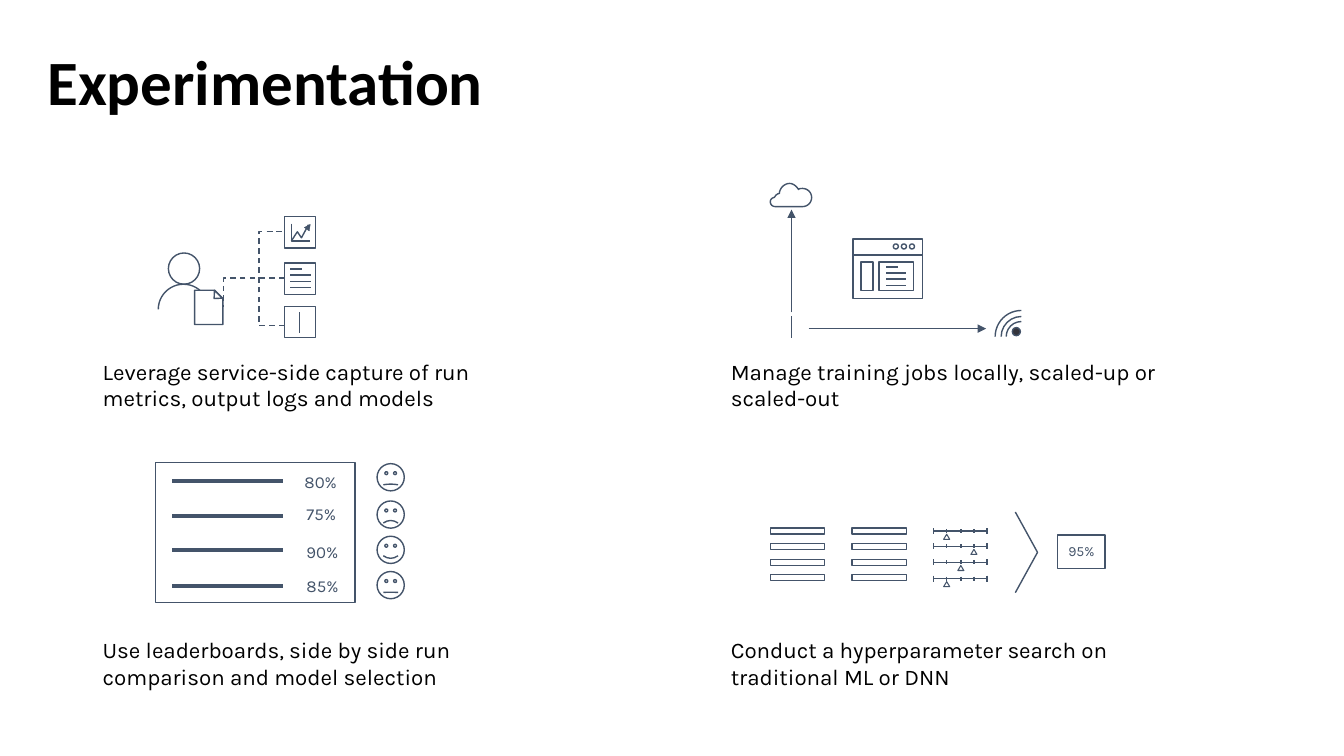
from dataclasses import dataclass

from lxml import etree
from pptx import Presentation
from pptx.dml.color import RGBColor
from pptx.enum.dml import MSO_LINE
from pptx.enum.shapes import MSO_CONNECTOR, MSO_SHAPE
from pptx.enum.text import MSO_ANCHOR, MSO_AUTO_SIZE, PP_ALIGN
from pptx.oxml.ns import qn
from pptx.util import Pt

PX = 9144
SLATE = RGBColor(0x44, 0x54, 0x6A)
CHARCOAL = RGBColor(0x34, 0x34, 0x3B)
BLACK = RGBColor(0, 0, 0)
WHITE = RGBColor(255, 255, 255)
RECTANGLE = MSO_SHAPE.RECTANGLE
OVAL = MSO_SHAPE.OVAL
TRIANGLE = MSO_SHAPE.ISOSCELES_TRIANGLE
ARC = MSO_SHAPE.ARC
SNIPPED = MSO_SHAPE.SNIP_1_RECTANGLE
BRACKET = MSO_SHAPE.LEFT_BRACKET
SMILEY = MSO_SHAPE.SMILEY_FACE
DASH = MSO_LINE.DASH
STRAIGHT = MSO_CONNECTOR.STRAIGHT
TOP, MIDDLE = MSO_ANCHOR.TOP, MSO_ANCHOR.MIDDLE
LEFT, CENTER = PP_ALIGN.LEFT, PP_ALIGN.CENTER
NO_AUTO_SIZE = MSO_AUTO_SIZE.NONE
HALF_TURN, THREE_QUARTERS = 108.0, 162.0

Point = tuple[float, float]


@dataclass
class Outline:
    kind: MSO_SHAPE
    left: int
    top: int
    width: int
    height: int
    fill: RGBColor | None = None
    weight: float = 1
    adjustments: tuple[float, ...] = ()
    rotation: float = 0
    dashed: bool = False


@dataclass
class Stroke:
    x1: int
    y1: int
    x2: int
    y2: int
    weight: float = 1
    arrow: bool = False


@dataclass
class Caption:
    left: int
    top: int
    text: str


@dataclass
class Run:
    score: str
    score_left: int
    score_top: int
    line_y: int
    face_top: int
    smile: float


CAPTIONS = (
    Caption(92, 626, "Use leaderboards, side by side run comparison and model selection"),
    Caption(715, 626, "Conduct a hyperparameter search on traditional ML or DNN"),
    Caption(92, 350, "Leverage service-side capture of run metrics, output logs and models"),
    Caption(715, 350, "Manage training jobs locally, scaled-up or scaled-out"),
)
RUNS = (
    Run("80%", 302, 470, 477, 460, -0.013),
    Run("75%", 304, 502, 512, 497, -0.047),
    Run("90%", 304, 540, 546, 532, 0.047),
    Run("85%", 304, 573, 581, 567, -0.003),
)
TICKS = (926, 939, 953, 966, 979)
KNOB_TICKS = (1, 3, 2, 1)
CLOUD_START = (796, 205)
CLOUD_CURVES = (
    ((769, 205), (769, 205), (769, 205)),
    ((766, 205), (764, 203), (764, 200)),
    ((764, 198), (766, 196), (768, 196)),
    ((769, 194), (771, 192), (773, 192)),
    ((773, 187), (778, 182), (783, 182)),
    ((787, 182), (790, 185), (792, 188)),
    ((793, 187), (794, 187), (796, 187)),
    ((801, 187), (805, 191), (805, 196)),
    ((805, 201), (801, 205), (796, 205)),
)


def write(shape, text: str, *, size: float, font: str = "Karla", color: RGBColor = BLACK,
          bold: bool = False, spacing: float | None = None, align: PP_ALIGN = LEFT,
          anchor: MSO_ANCHOR = TOP, insets: tuple[int, int, int, int] = (0, 0, 0, 0)) -> None:
    frame = shape.text_frame
    frame.word_wrap = True
    frame.auto_size = NO_AUTO_SIZE
    frame.vertical_anchor = anchor
    frame.margin_left, frame.margin_top, frame.margin_right, frame.margin_bottom = (
        inset * PX for inset in insets)
    paragraph = frame.paragraphs[0]
    paragraph.alignment = align
    paragraph.line_spacing = spacing
    run = paragraph.add_run()
    run.text = text
    run.font.name = font
    run.font.size = Pt(size)
    run.font.bold = bold
    run.font.color.rgb = color


def add_text(slide, left: int, top: int, width: int, height: int, text: str, **style) -> None:
    write(slide.shapes.add_textbox(left * PX, top * PX, width * PX, height * PX), text, **style)


def finish(shape, fill: RGBColor | None, weight: float, dashed: bool) -> None:
    shape.shadow.inherit = False
    if fill is None:
        shape.fill.background()
    else:
        shape.fill.solid()
        shape.fill.fore_color.rgb = fill
    shape.line.color.rgb = SLATE
    shape.line.width = Pt(weight)
    if dashed:
        shape.line.dash_style = DASH


def add_outline(slide, item: Outline):
    shape = slide.shapes.add_shape(
        item.kind, item.left * PX, item.top * PX, item.width * PX, item.height * PX)
    for index, value in enumerate(item.adjustments):
        shape.adjustments[index] = value
    shape.rotation = item.rotation
    finish(shape, item.fill, item.weight, item.dashed)
    return shape


def add_stroke(slide, item: Stroke) -> None:
    connector = slide.shapes.add_connector(
        STRAIGHT, item.x1 * PX, item.y1 * PX, item.x2 * PX, item.y2 * PX)
    connector.line.color.rgb = SLATE
    connector.line.width = Pt(item.weight)
    properties = connector.element.spPr
    if item.arrow:
        etree.SubElement(properties.find(qn("a:ln")), qn("a:tailEnd"), type="triangle")
    etree.SubElement(properties, qn("a:effectLst"))


def add_path(slide, points: list[Point], close: bool = False, dashed: bool = False) -> None:
    start, *rest = [(round(x * PX), round(y * PX)) for x, y in points]
    builder = slide.shapes.build_freeform(*start)
    builder.add_line_segments(rest, close=close)
    finish(builder.convert_to_shape(), None, 1, dashed)


def trace_curves(start: Point, curves: tuple, steps: int = 8) -> list[Point]:
    points = [start]
    for first, second, end in curves:
        begin = points[-1]
        for step in range(1, steps + 1):
            t = step / steps
            u = 1 - t
            points.append(tuple(
                u**3 * a + 3 * u * u * t * b + 3 * u * t * t * c + t**3 * d
                for a, b, c, d in zip(begin, first, second, end)))
    return points


def add_text_lines(slide, left: int, top: int) -> None:
    for row, width in enumerate((12, 20, 20, 20)):
        y = top + 6 * row
        add_stroke(slide, Stroke(left, y, left + width, y))


def draw_capture(slide) -> None:
    for item in (
        Outline(OVAL, 167, 251, 31, 31),
        Outline(ARC, 157, 282, 50, 50, adjustments=(HALF_TURN, 0)),
        Outline(SNIPPED, 193, 288, 28, 34, WHITE, adjustments=(0.287,)),
        Outline(TRIANGLE, 209, 291, 11, 6, WHITE, rotation=225),
        Outline(TRIANGLE, 303, 222, 6, 6, SLATE, weight=0.25, rotation=35),
        Outline(BRACKET, 257, 230, 25, 93, adjustments=(0,), dashed=True),
        *(Outline(RECTANGLE, 282, top, 31, 31) for top in (215, 261, 304)),
    ):
        add_outline(slide, item)
    add_stroke(slide, Stroke(297, 310, 297, 330))
    add_text_lines(slide, 288, 267)
    add_path(slide, [(289, 222), (289, 239), (307, 239)])
    add_path(slide, [(289, 239), (295, 230), (299, 236), (306, 223)])
    add_path(slide, [(282, 276), (222, 276), (222, 305)], dashed=True)


def draw_training(slide) -> None:
    for item in (
        Stroke(785, 310, 785, 208, arrow=True),
        Stroke(802, 326, 978, 326, arrow=True),
        Stroke(785, 314, 785, 335),
        Stroke(915, 253, 846, 253),
    ):
        add_stroke(slide, item)
    for item in (
        Outline(RECTANGLE, 846, 237, 69, 59),
        Outline(RECTANGLE, 872, 260, 34, 28),
        Outline(RECTANGLE, 854, 260, 12, 28),
        *(Outline(OVAL, left, 242, 5, 5) for left in (886, 894, 902)),
        *(Outline(ARC, 1013 - radius, 334 - radius, 2 * radius, 2 * radius,
                  adjustments=(HALF_TURN, THREE_QUARTERS)) for radius in (15, 20, 26)),
        Outline(OVAL, 1004, 325, 8, 8, CHARCOAL),
    ):
        add_outline(slide, item)
    add_text_lines(slide, 879, 265)
    add_path(slide, trace_curves(CLOUD_START, CLOUD_CURVES), close=True)


def draw_search(slide) -> None:
    for row, knob in enumerate(KNOB_TICKS):
        for left in (764, 845):
            add_outline(slide, Outline(RECTANGLE, left, 524 + row * 31 // 2, 54, 6))
        y = 527 + row * 47 // 3
        add_outline(slide, Outline(TRIANGLE, TICKS[knob] - 3, y + 3, 6, 5, weight=0.75))
        add_stroke(slide, Stroke(TICKS[0], y, TICKS[-1], y))
        for x in TICKS:
            reach = 3 if x in (TICKS[0], TICKS[-1]) else 2
            add_stroke(slide, Stroke(x, y - reach, x, y + reach))
    add_path(slide, [(1007, 508), (1029, 548), (1007, 588)])
    result = add_outline(slide, Outline(RECTANGLE, 1049, 531, 47, 33))
    write(result, "95%", size=10, color=SLATE, spacing=0.9, align=CENTER, anchor=MIDDLE,
          insets=(10, 5, 10, 5))


def draw_leaderboard(slide) -> None:
    add_outline(slide, Outline(RECTANGLE, 154, 459, 198, 139))
    for run in RUNS:
        add_stroke(slide, Stroke(171, run.line_y, 281, run.line_y, weight=3))
        add_text(slide, run.score_left, run.score_top, 64, 16, run.score,
                 size=12, color=SLATE, spacing=0.9)
        add_outline(slide, Outline(SMILEY, 374, run.face_top, 27, 27, adjustments=(run.smile,)))


def main() -> None:
    presentation = Presentation()
    presentation.slide_width, presentation.slide_height = 1333 * PX, 750 * PX
    slide = presentation.slides.add_slide(presentation.slide_layouts[6])
    add_text(slide, 47, 33, 1240, 83, "Experimentation", size=45, font="Calibri", bold=True,
             spacing=0.9, insets=(0, 18, 0, 0))
    for caption in CAPTIONS:
        add_text(slide, caption.left, caption.top, 461, 63, caption.text, size=16,
                 insets=(10, 5, 10, 5))
    draw_capture(slide)
    draw_training(slide)
    draw_search(slide)
    draw_leaderboard(slide)
    presentation.save("out.pptx")


if __name__ == "__main__":
    main()
